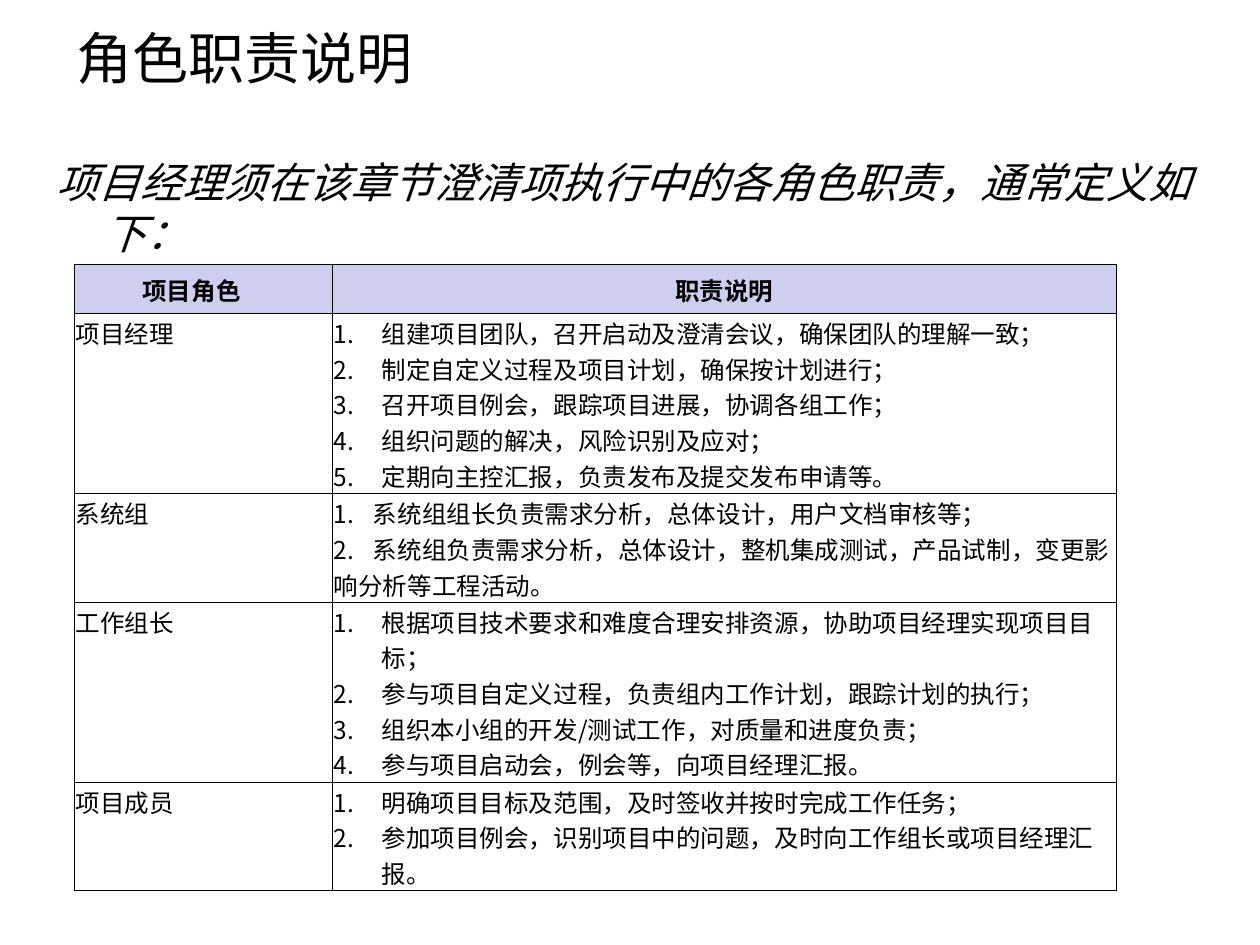
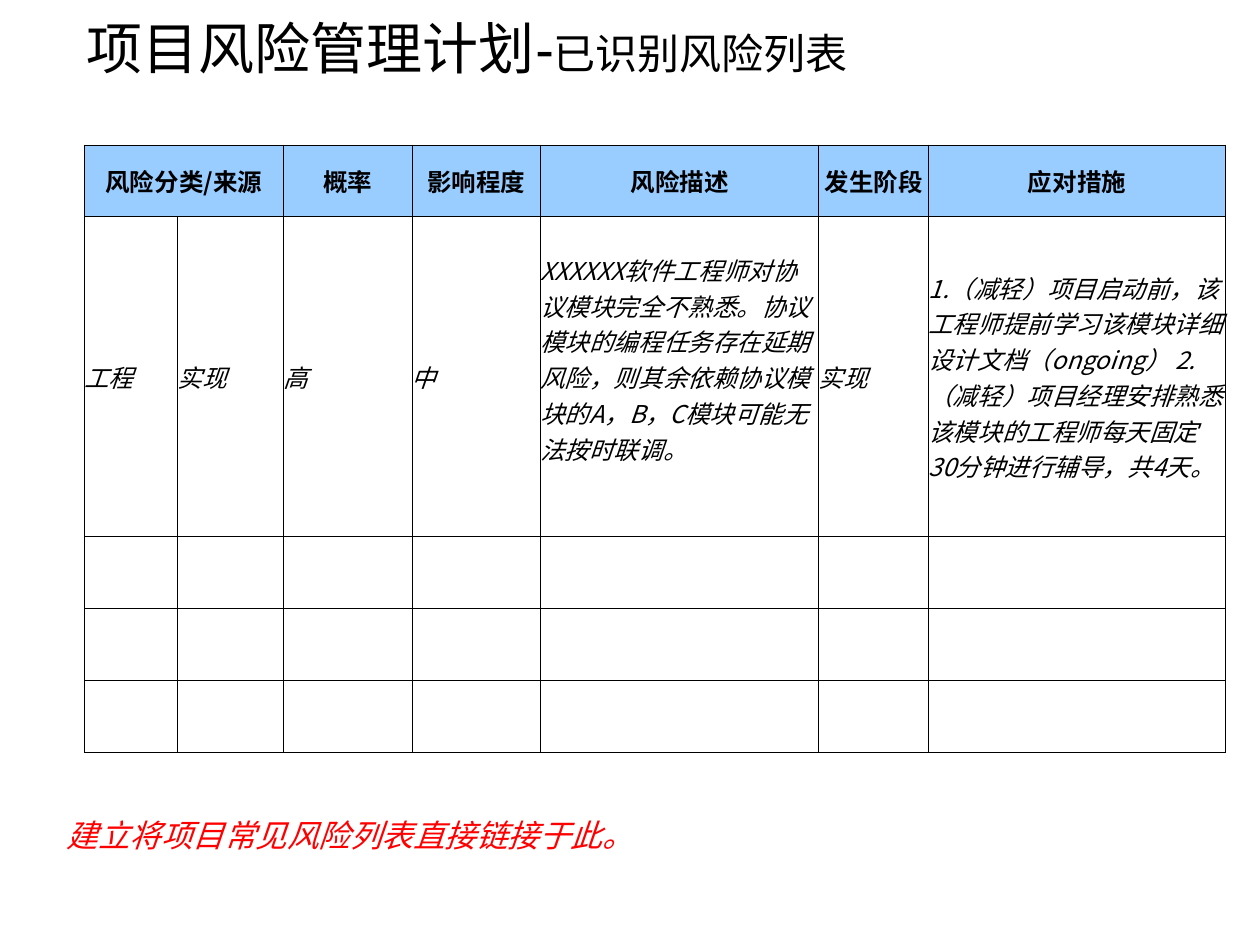
"""Builds two project plan slides: role duties and the risk list."""
from lxml import etree
from pptx import Presentation
from pptx import util as u
from pptx.dml.color import RGBColor
from pptx.enum import text
from pptx.oxml.ns import qn

BLACK = RGBColor(0x00, 0x00, 0x00)
RED = RGBColor(0xFF, 0x00, 0x00)
LILAC = RGBColor(0xCE, 0xCE, 0xEF)
SKY = RGBColor(0x99, 0xCC, 0xFF)
SANS = "Noto Sans CJK SC"
HEAD = "Arial"
MID = text.MSO_ANCHOR.MIDDLE

deck = Presentation()
deck.slide_width, deck.slide_height = u.Inches(10), u.Inches(7.5)
COL = deck.slide_width // 100
ROW = deck.slide_height // 75
HANG = round(3.8 * COL)


def style(font, size, face=SANS, ink=BLACK, bold=False, slant=False):
    font.size, font.name = u.Pt(size), face
    font.bold, font.italic = bold, slant
    font.color.rgb = ink
    etree.SubElement(font._rPr, qn("a:ea"), typeface=SANS)


def grid(slide, left, top, cols, rows, tint, pad):
    area = [round(n) for n in (left * COL, top * ROW, sum(cols) * COL, sum(rows) * ROW)]
    table = slide.shapes.add_table(len(rows), len(cols), *area).table
    table.first_row = table.horz_banding = False
    for part, wide in zip(table.columns, cols):
        part.width = round(wide * COL)
    for part, high in zip(table.rows, rows):
        part.height = round(high * ROW)
    for spot, cell in enumerate(table.iter_cells()):
        cell.margin_left = cell.margin_right = cell.margin_top = round(pad * COL)
        cell.margin_bottom = 0
        if spot < len(cols):
            cell.fill.solid()
            cell.fill.fore_color.rgb = tint
            cell.vertical_anchor = MID
        else:
            cell.fill.background()
        props = cell._tc.get_or_add_tcPr()
        for at, side in enumerate("LRTB"):
            line = etree.Element(qn("a:ln" + side), w=str(u.Pt(0.5)))
            fill = etree.SubElement(line, qn("a:solidFill"))
            etree.SubElement(fill, qn("a:srgbClr"), val=str(BLACK))
            props.insert(at, line)
    return table


blank = deck.slide_layouts[6]
duty, risk = deck.slides.add_slide(blank), deck.slides.add_slide(blank)

titles = [
    (duty, (5.1, 3, 57.5, 3.8), [("角色职责说明", 32)]),
    (risk, (5.9, 0, 63.8, 8.2), [("项目风险管理计划-", 32), ("已识别风险列表", 24)]),
]
for slide, (left, top, wide, high), runs in titles:
    box = slide.shapes.add_textbox(round(left * COL), top * ROW, round(wide * COL), round(high * ROW))
    frame = box.text_frame
    frame.word_wrap, frame.vertical_anchor = True, MID
    para = frame.paragraphs[0]
    para.line_spacing = 0.9
    for words, size in runs:
        run = para.add_run()
        run.text = words
        style(run.font, size, HEAD)

box = duty.shapes.add_textbox(round(3.5 * COL), round(6.8 * ROW), round(92.3 * COL), round(60.6 * ROW))
frame = box.text_frame
frame.word_wrap, frame.margin_top = True, round(5.6 * ROW)
para = frame.paragraphs[0]
para.line_spacing = u.Pt(29)
props = para._p.get_or_add_pPr()
props.set("marL", str(HANG))
props.set("indent", str(-HANG))
for words, face in [("项目经理须", HEAD), ("在该章节澄清项执行中的各角色职责，通常定义如下：", SANS)]:
    run = para.add_run()
    run.text = words
    style(run.font, 24, face, slant=True)

roles = [
    ("项目经理", ["组建项目团队，召开启动及澄清会议，确保团队的理解一致；",
              "制定自定义过程及项目计划，确保按计划进行；",
              "召开项目例会，跟踪项目进展，协调各组工作；",
              "组织问题的解决，风险识别及应对；",
              "定期向主控汇报，负责发布及提交发布申请等。"]),
    ("系统组", ["1.\t系统组组长负责需求分析，总体设计，用户文档审核等；",
             "2.\t系统组负责需求分析，总体设计，整机集成测试，产品试制，变更影响分析等工程活动。"]),
    ("工作组长", ["根据项目技术要求和难度合理安排资源，协助项目经理实现项目目标；",
              "参与项目自定义过程，负责组内工作计划，跟踪计划的执行；",
              "组织本小组的开发/测试工作，对质量和进度负责；",
              "参与项目启动会，例会等，向项目经理汇报。"]),
    ("项目成员", ["明确项目目标及范围，及时签收并按时完成工作任务；",
              "参加项目例会，识别项目中的问题，及时向工作组长或项目经理汇报。"]),
]
table = grid(duty, 5.9, 21, [20.5, 62.2], [3.9, 14.3, 8.6, 14.3, 8.6], LILAC, 0.1)
for col, words in enumerate(["项目角色", "职责说明"]):
    para = table.cell(0, col).text_frame.paragraphs[0]
    para.text, para.alignment = words, text.PP_ALIGN.CENTER
    style(para.font, 14, bold=True)
table.cell(0, 0).margin_right = 2 * COL
for row, (role, tasks) in enumerate(roles, 1):
    table.cell(row, 0).text = role
    style(table.cell(row, 0).text_frame.paragraphs[0].font, 14)
    frame = table.cell(row, 1).text_frame
    frame.text = "\n".join(tasks)
    for para in frame.paragraphs:
        props = para._p.get_or_add_pPr()
        if "\t" in para.text:
            tabs = etree.SubElement(props, qn("a:tabLst"))
            etree.SubElement(tabs, qn("a:tab"), pos=str(round(3.1 * COL)), algn="l")
        else:
            props.set("marL", str(HANG))
            props.set("indent", str(-HANG))
            etree.SubElement(props, qn("a:buAutoNum"), type="arabicPeriod")
        style(para.font, 14)

heads = ["风险分类/来源", "", "概率", "影响程度", "风险描述", "发生阶段", "应对措施"]
case = [
    "工程", "实现", "高", "中",
    "XXXXXX软件工程师对协议模块完全不熟悉。协议模块的编程任务存在延期风险，则其余依赖协议模块的A，B，C模块可能无法按时联调。",
    "实现",
    "1.（减轻）项目启动前，该工程师提前学习该模块详细设计文档（ongoing） "
    "2.（减轻）项目经理安排熟悉该模块的工程师每天固定30分钟进行辅导，共4天。",
]
table = grid(risk, 6.7, 11.5, [7.4, 8.4, 10.2, 10.2, 22.1, 8.7, 23.6],
             [5.7, 25.4, 5.7, 5.7, 5.7], SKY, 0)
table.cell(0, 0).merge(table.cell(0, 1))
for col, (head, words) in enumerate(zip(heads, case)):
    if head:
        para = table.cell(0, col).text_frame.paragraphs[0]
        para.text, para.alignment = head, text.PP_ALIGN.CENTER
        style(para.font, 14, bold=True)
    cell = table.cell(1, col)
    cell.text, cell.vertical_anchor = words, MID
    style(cell.text_frame.paragraphs[0].font, 14, slant=True)
table.cell(1, 4).margin_bottom = round(2.8 * ROW)

box = risk.shapes.add_textbox(round(4.3 * COL), round(64.3 * ROW), round(90.6 * COL), 4 * ROW)
box.text_frame.word_wrap = True
para = box.text_frame.paragraphs[0]
para.text = "建立将项目常见风险列表直接链接于此。"
style(para.font, 18, ink=RED, slant=True)

deck.save("out.pptx")
